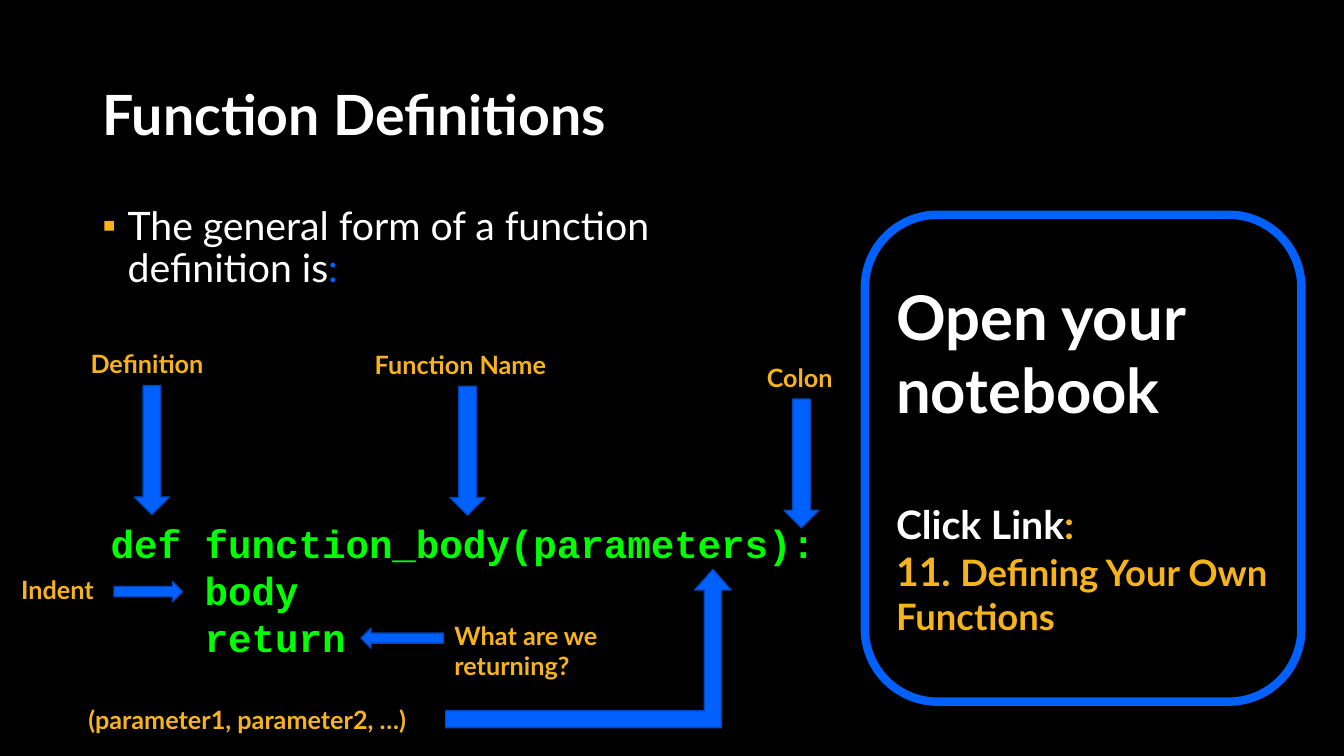
from lxml import etree
from pptx import Presentation
from pptx.dml.color import RGBColor
from pptx.enum.shapes import MSO_SHAPE
from pptx.enum.text import MSO_ANCHOR, MSO_AUTO_SIZE, PP_ALIGN
from pptx.oxml.ns import qn
from pptx.util import Pt

BLACK = RGBColor(0x00, 0x00, 0x00)
WHITE = RGBColor(0xFF, 0xFF, 0xFF)
AMBER = RGBColor(0xF7, 0xB4, 0x1A)
BLUE = RGBColor(0x00, 0x61, 0xFF)
DARK_BLUE = RGBColor(0x00, 0x48, 0xBD)
GREEN = RGBColor(0x00, 0xFF, 0x00)

RIGHT, LEFT = MSO_SHAPE.RIGHT_ARROW, MSO_SHAPE.LEFT_ARROW
DOWN, BENT = MSO_SHAPE.DOWN_ARROW, MSO_SHAPE.BENT_UP_ARROW
ROUNDED = MSO_SHAPE.ROUNDED_RECTANGLE
MIDDLE, TOP = MSO_ANCHOR.MIDDLE, MSO_ANCHOR.TOP
FIT_NONE, FIT_SHAPE = MSO_AUTO_SIZE.NONE, MSO_AUTO_SIZE.SHAPE_TO_FIT_TEXT
ALIGN_LEFT = PP_ALIGN.LEFT


def add_run(paragraph, text, size=18, color=AMBER, bold=True, font="Lato"):
    run = paragraph.add_run()
    run.text = text
    run.font.name = font
    run.font.size = Pt(size)
    run.font.bold = bold
    run.font.color.rgb = color


def place(shape, box):
    shape.left, shape.top, shape.width, shape.height = map(Pt, box)


def add_bullet(paragraph, char, color, indent):
    props = paragraph._p.get_or_add_pPr()
    props.set("marL", str(Pt(indent)))
    props.set("indent", str(-Pt(indent)))
    bullet_color = etree.SubElement(props, qn("a:buClr"))
    etree.SubElement(bullet_color, qn("a:srgbClr"), val=str(color))
    etree.SubElement(props, qn("a:buChar"), char=char)


class SlideBuilder:
    def __init__(self, prs):
        self.slide = prs.slides.add_slide(prs.slide_layouts[1])
        self.slide.background.fill.solid()
        self.slide.background.fill.fore_color.rgb = BLACK

    def placeholder(self, index, box, anchor):
        """Move a template placeholder and return its first paragraph."""
        holder = self.slide.placeholders[index]
        place(holder, box)
        frame = holder.text_frame
        frame.word_wrap = True
        frame.auto_size = FIT_NONE
        frame.vertical_anchor = anchor
        paragraph = frame.paragraphs[0]
        paragraph.alignment = ALIGN_LEFT
        paragraph.line_spacing = 0.9
        paragraph.space_before = Pt(0)
        return paragraph

    def text(self, lines, box, wrap=False, spacing=None, **style):
        frame = self.slide.shapes.add_textbox(*map(Pt, box)).text_frame
        frame.word_wrap = wrap
        frame.auto_size = FIT_SHAPE
        for number, line in enumerate(lines):
            paragraph = frame.add_paragraph() if number else frame.paragraphs[0]
            if spacing:
                paragraph.line_spacing = Pt(spacing)
            add_run(paragraph, line, **style)

    def arrow(self, kind, box, adjustments=()):
        arrow = self.slide.shapes.add_shape(kind, *map(Pt, box))
        arrow.shadow.inherit = False
        arrow.fill.solid()
        arrow.fill.fore_color.rgb = BLUE
        arrow.line.color.rgb = DARK_BLUE
        arrow.line.width = Pt(1)
        for number, value in enumerate(adjustments):
            arrow.adjustments[number] = value

    def panel(self, box, paragraphs):
        """Outlined panel; each paragraph is (space before, runs)."""
        panel = self.slide.shapes.add_shape(ROUNDED, *map(Pt, box))
        panel.shadow.inherit = False
        panel.fill.background()
        panel.line.color.rgb = BLUE
        panel.line.width = Pt(6)
        frame = panel.text_frame
        frame.word_wrap = True
        frame.vertical_anchor = MIDDLE
        for number, (gap, runs) in enumerate(paragraphs):
            paragraph = frame.add_paragraph() if number else frame.paragraphs[0]
            paragraph.alignment = ALIGN_LEFT
            paragraph.space_before = Pt(gap)
            for text, size, color in runs:
                add_run(paragraph, text, size=size, color=color)


def main():
    prs = Presentation()
    prs.slide_width, prs.slide_height = Pt(960), Pt(540)
    builder = SlideBuilder(prs)

    # Title and introduction
    title = builder.placeholder(0, (66, 57.6, 828, 52), MIDDLE)
    add_run(title, "Function Definitions", size=39.6, color=WHITE)
    intro = builder.placeholder(1, (66, 144, 414, 381), TOP)
    add_bullet(intro, "▪", AMBER, 18)
    add_run(intro, "The general form of a function definition is",
            size=28, color=WHITE, bold=False)
    add_run(intro, ":", size=28, color=BLUE, bold=False)

    # Code
    builder.text(["def function_body(parameters):", "    body", "    return"],
                 (72, 367, 522, 109), spacing=33.8,
                 size=28, color=GREEN, font="Courier New")

    # Labels above the code, each with an arrow down
    for label, left, top, width, arrow_left in (
            ("Definition", 57.6, 245.5, 100, 96),
            ("Function Name", 260.6, 246, 150, 321.5),
            ("Colon", 540.7, 255, 64, 560)):
        builder.text([label], (left, top, width, 29))
        builder.arrow(DOWN, (arrow_left, top + 30, 25, 92))

    # Labels beside and below the code
    builder.text(["Indent"], (8, 406.8, 70.6, 29))
    builder.arrow(RIGHT, (81.4, 415.4, 49, 14.4))
    builder.text(["What are we returning?"], (317.5, 439.2, 183, 51), wrap=True)
    builder.arrow(LEFT, (257.8, 448.6, 59, 14.4))
    builder.text(["(parameter1, parameter2, …)"], (56, 499.7, 262, 29))
    builder.arrow(BENT, (318.2, 406.8, 204, 113), (0.107, 0.115, 0.13))

    # Notebook panel
    builder.panel((617.8, 153.4, 311.8, 347.8), (
        (0, [("Open your notebook", 44, WHITE)]),
        (52.8, [("Click Link", 28, WHITE), (":", 28, AMBER)]),
        (0, [("11. ", 28, AMBER), ("Defining Your Own Functions", 26, AMBER)])))

    prs.save("out.pptx")


if __name__ == "__main__":
    main()
